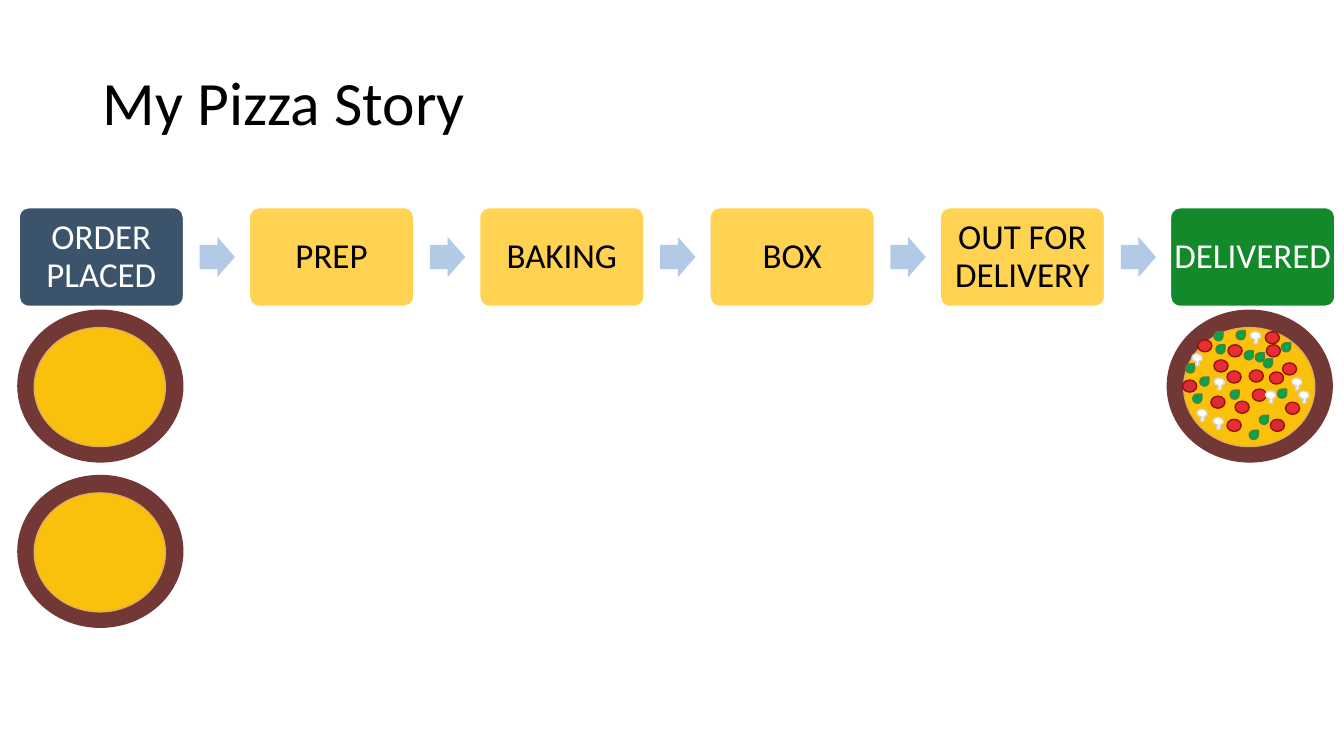
from dataclasses import dataclass

from lxml import etree
from pptx import Presentation
from pptx import util as u
from pptx.dml.color import RGBColor
from pptx.enum import shapes, text
from pptx.oxml import ns

COLOURS = {
    "black": "000000", "white": "FFFFFF", "navy": "3B536B", "yellow": "FFD351",
    "green": "13892B", "arrow": "B3CAE7", "crust": "723836", "rim": "E4AD56",
    "cheese": "F9C00C", "tomato": "E72E34", "salami": "DA2A37",
    "sausage_edge": "9C1200", "basil": "02A44D", "basil_edge": "548135",
    "mushroom_edge": "D8D8D8",
}
FONT = "Calibri"
SHAPE = shapes.MSO_SHAPE
STEP_LEFT, STEP_TOP, STEP_WIDTH, STEP_HEIGHT = 0.19, 2.06, 1.63, 0.98
LAST_STEP_LEFT = 11.61
ARROW_OFFSET = 1.79


@dataclass(frozen=True)
class Step:
    label: str
    fill: str
    ink: str


@dataclass(frozen=True)
class Topping:
    kind: SHAPE
    width: float
    height: float
    fill: str
    edge: str
    places: tuple


STEPS = (
    Step("ORDER PLACED", "navy", "white"),
    Step("PREP", "yellow", "black"),
    Step("BAKING", "yellow", "black"),
    Step("BOX", "yellow", "black"),
    Step("OUT FOR DELIVERY", "yellow", "black"),
    Step("DELIVERED", "green", "white"),
)
TOPPINGS = (
    Topping(SHAPE.OVAL, 0.14, 0.12, "tomato", "sausage_edge", (
        (12.17, 3.68), (12.04, 3.57), (12.42, 3.86), (12.25, 3.98), (12.18, 3.42),
        (12.17, 4.16), (12.59, 3.69), (12.39, 3.67), (12.72, 3.6), (12.75, 3.99),
        (11.88, 3.37), (12.55, 3.29), (12.56, 3.42))),
    Topping(SHAPE.OVAL, 0.14, 0.12, "salami", "sausage_edge", (
        (12.01, 3.93), (11.73, 3.77), (12.6, 4.16))),
    Topping(SHAPE.TEAR, 0.09, 0.09, "basil", "basil_edge", (
        (12.2, 3.87), (12.49, 4.12), (11.83, 3.91), (12.67, 3.86), (12.53, 3.56),
        (12.39, 4.27), (12.26, 3.28), (12.06, 3.42), (11.76, 3.61), (11.9, 3.74),
        (12.71, 3.4), (12.45, 3.5), (12.34, 3.48), (12.04, 3.29))),
)
MUSHROOMS = (
    (12.4, 3.29), (12.88, 3.88), (12.55, 3.88), (12.04, 3.75),
    (11.82, 3.51), (11.87, 4.06), (12.81, 3.75), (12.03, 4.14),
)
MUSHROOM_WIDTH, MUSHROOM_HEIGHT = 0.1, 0.12
MUSHROOM_OUTLINE = (
    ("moveTo", ((0.03, 0.07),)),
    ("cubicBezTo", ((-0.01, 0.06), (-0.01, 0), (0.05, 0))),
    ("cubicBezTo", ((0.11, 0), (0.12, 0.07), (0.08, 0.07))),
    ("cubicBezTo", ((0.05, 0.08), (0.1, 0.12), (0.05, 0.12))),
    ("cubicBezTo", ((0.01, 0.12), (0.08, 0.07), (0.03, 0.07))),
    ("close", ()),
)


def colour(name: str) -> RGBColor:
    return RGBColor.from_string(COLOURS[name])


def apply(target, values: dict) -> None:
    for name, value in values.items():
        setattr(target, name, value)


def paint(shape, fill: str, edge: str = "", weight: float = 1) -> None:
    shape.shadow.inherit = False
    shape.fill.solid()
    shape.fill.fore_color.rgb = colour(fill)
    if edge:
        shape.line.color.rgb = colour(edge)
        shape.line.width = u.Pt(weight)
    else:
        shape.line.fill.background()


def add_preset(group, kind, left: float, top: float, width: float, height: float,
               adjustments: tuple = ()):
    shape = group.shapes.add_shape(
        kind, u.Inches(left), u.Inches(top), u.Inches(width), u.Inches(height))
    for index, value in enumerate(adjustments):
        shape.adjustments[index] = value
    return shape


def write(box, words: str, size: float, ink: str, align, margins: tuple) -> None:
    frame = box.text_frame
    sides = ("margin_left", "margin_top", "margin_right", "margin_bottom")
    apply(frame, {side: u.Inches(gap) for side, gap in zip(sides, margins)})
    apply(frame, {"word_wrap": True, "auto_size": text.MSO_AUTO_SIZE.NONE,
                  "vertical_anchor": text.MSO_ANCHOR.MIDDLE})
    para = frame.paragraphs[0]
    apply(para, {"alignment": align, "line_spacing": 0.9})
    span = para.add_run()
    span.text = words
    apply(span.font, {"name": FONT, "size": u.Pt(size)})
    span.font.color.rgb = colour(ink)


def add_steps(page) -> None:
    group = page.shapes.add_group_shape()
    pitch = (LAST_STEP_LEFT - STEP_LEFT) / (len(STEPS) - 1)
    for index, step in enumerate(STEPS):
        left = STEP_LEFT + index * pitch
        box = add_preset(group, SHAPE.ROUNDED_RECTANGLE, left, STEP_TOP,
                         STEP_WIDTH, STEP_HEIGHT, (0.1,))
        paint(box, step.fill, "white")
        write(box, step.label, 25, step.ink, text.PP_ALIGN.CENTER, (0, 0, 0, 0))
        if index < len(STEPS) - 1:
            arrow = add_preset(group, SHAPE.RIGHT_ARROW, left + ARROW_OFFSET, 2.35,
                               0.35, 0.4, (0.6, 0.5))
            paint(arrow, "arrow")


def add_pizza(page, left: float, top: float):
    group = page.shapes.add_group_shape()
    crust = add_preset(group, SHAPE.DONUT, left, top, 1.51, 1.38, (0.07,))
    paint(crust, "rim", "crust", 10)
    cheese = add_preset(group, SHAPE.OVAL, left + 0.1, top + 0.11, 1.3, 1.18)
    paint(cheese, "cheese", "rim")
    return group


def add_mushroom(group, left: float, top: float) -> None:
    right, bottom = left + MUSHROOM_WIDTH, top + MUSHROOM_HEIGHT
    builder = group.shapes.build_freeform(u.Inches(left), u.Inches(top))
    builder.add_line_segments([(u.Inches(right), u.Inches(top)),
                               (u.Inches(right), u.Inches(bottom))])
    mushroom = builder.convert_to_shape()
    outline = mushroom.element.find(".//" + ns.qn("a:path"))
    for child in list(outline):
        outline.remove(child)
    for command, points in MUSHROOM_OUTLINE:
        segment = etree.SubElement(outline, ns.qn(f"a:{command}"))
        for x, y in points:
            etree.SubElement(segment, ns.qn("a:pt"),
                             x=str(u.Inches(x)), y=str(u.Inches(y)))
    paint(mushroom, "white", "mushroom_edge")


def add_toppings(group) -> None:
    for topping in TOPPINGS:
        for left, top in topping.places:
            piece = add_preset(group, topping.kind, left, top,
                               topping.width, topping.height)
            paint(piece, topping.fill, topping.edge)
    for left, top in MUSHROOMS:
        add_mushroom(group, left, top)


def main() -> None:
    deck = Presentation()
    apply(deck, {"slide_width": u.Inches(13.33), "slide_height": u.Inches(7.5)})
    page = deck.slides.add_slide(deck.slide_layouts[5])
    title = page.shapes.title
    apply(title, {"left": u.Inches(0.92), "top": u.Inches(0.59),
                  "width": u.Inches(11.5), "height": u.Inches(0.92)})
    write(title, "My Pizza Story", 44, "black", text.PP_ALIGN.LEFT,
          (0.1, 0.05, 0.1, 0.05))
    add_steps(page)
    add_toppings(add_pizza(page, 11.64, 3.14))
    for top in (3.14, 4.78):
        add_pizza(page, 0.24, top)
    deck.save("out.pptx")


if __name__ == "__main__":
    main()
